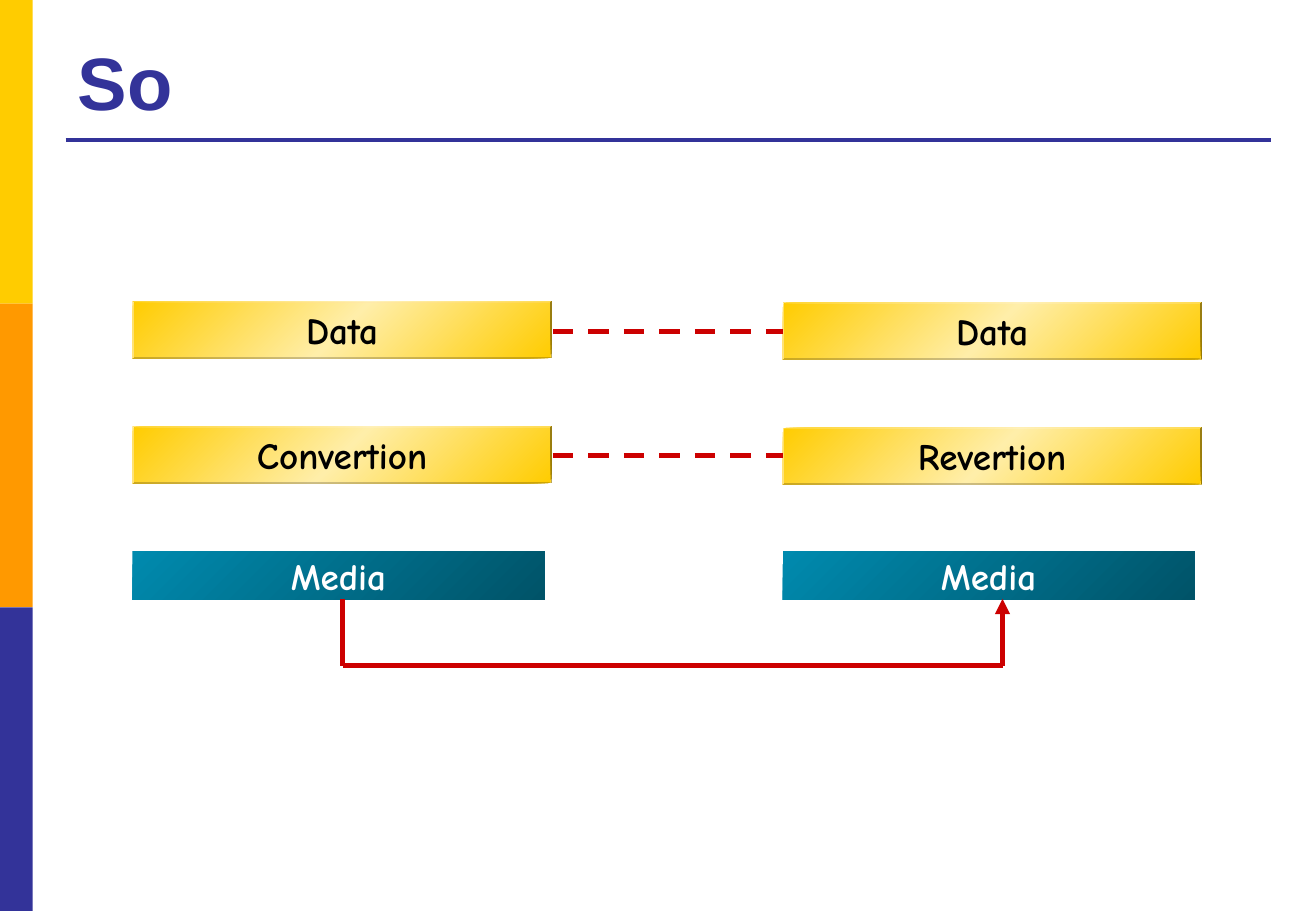
from copy import deepcopy
from pptx import Presentation
from pptx.dml.color import RGBColor as RGB
from pptx.enum.dml import MSO_LINE as Dash
from pptx.enum.shapes import MSO_CONNECTOR as Conn, MSO_SHAPE as Shape
from pptx.enum.text import MSO_ANCHOR as Anchor, PP_ALIGN as Align
from pptx.oxml.ns import qn
from pptx.util import Inches, Pt

BLUE = RGB(0x33, 0x33, 0x99)
GOLD = RGB(0xFF, 0xCC, 0x00)
CREAM = RGB(0xFF, 0xEE, 0xA9)
AMBER = RGB(0xFF, 0x99, 0x00)
TEAL = RGB(0x00, 0x8A, 0xAE)
DEEP = RGB(0x00, 0x53, 0x68)
RED = RGB(0xCC, 0x00, 0x00)
BLACK = RGB(0, 0, 0)
WHITE = RGB(0xFF, 0xFF, 0xFF)

TITLE = "So"
BANDS = [GOLD, AMBER, BLUE]
LEFTS = [1.09, 6.44]
GOLD_BOX = (Shape.BEVEL, 3.45, 0.47, [GOLD, CREAM, GOLD], BLACK, 0.09, 0.05)
TEAL_BOX = (Shape.RECTANGLE, 3.39, 0.4, [TEAL, DEEP], WHITE, 0.02, 0.01)
ROWS = [
    (("Data", "Data"), (2.48, 2.49), GOLD_BOX),
    (("Convertion", "Revertion"), (3.51, 3.52), GOLD_BOX),
    (("Media", "Media"), (4.54, 4.54), TEAL_BOX),
]
LINKS = [2.73, 3.75]
ROUTE = [(2.82, 4.93), (2.82, 5.48), (8.25, 5.48), (8.25, 4.93)]

deck = Presentation()
deck.slide_width, deck.slide_height = Inches(10.83), Inches(7.5)
slide = deck.slides.add_slide(deck.slide_layouts[5])
shapes = slide.shapes


def add_box(kind, left, top, width, height):
    box = shapes.add_shape(kind, *map(Inches, (left, top, width, height)))
    box.shadow.inherit = False
    box.line.fill.background()
    return box


def shade(box, tones):
    box.fill.gradient()
    box.fill.gradient_angle = 315
    stops = box._element.spPr.find(".//" + qn("a:gsLst"))
    while len(stops) < len(tones):
        stops.append(deepcopy(stops[0]))
    for i, (stop, tone) in enumerate(zip(box.fill.gradient_stops, tones)):
        stop.position = i / (len(tones) - 1)
        stop.color.rgb = tone


def style(para, name, size, color):
    font = para.runs[0].font
    font.name, font.size, font.bold = name, Pt(size), True
    font.color.rgb = color


def add_line(start, end, color, width):
    line = shapes.add_connector(Conn.STRAIGHT, *map(Inches, start + end))
    line.line.color.rgb = color
    line.line.width = Pt(width)
    props = line._element.spPr
    props.append(props.makeelement(qn("a:effectLst"), {}))
    return line


def add_label(text, left, top, look):
    kind, width, height, tones, color, side, edge = look
    box = add_box(kind, left, top, width, height)
    if kind == Shape.BEVEL:
        box.adjustments[0] = 0.019
    shade(box, tones)
    frame = box.text_frame
    frame.word_wrap = True
    frame.vertical_anchor = Anchor.MIDDLE
    frame.margin_left = frame.margin_right = Inches(side)
    frame.margin_top = frame.margin_bottom = Inches(edge)
    frame.text = text
    para = frame.paragraphs[0]
    para.alignment = Align.CENTER
    style(para, "Comic Neue", 22, color)


for i, color in enumerate(BANDS):
    band = add_box(Shape.RECTANGLE, 0, 2.5 * i, 0.27, 2.5)
    band.fill.solid()
    band.fill.fore_color.rgb = color
add_line((0.54, 1.15), (10.46, 1.15), BLUE, 2.25)

title = shapes.title
title.left, title.top = Inches(0.54), Inches(0.21)
title.width, title.height = Inches(9.91), Inches(0.87)
title.text_frame.text = TITLE
title.text_frame.vertical_anchor = Anchor.BOTTOM
head = title.text_frame.paragraphs[0]
head.alignment = Align.LEFT
style(head, "Arial", 44, BLUE)

for names, tops, look in ROWS:
    for name, left, top in zip(names, LEFTS, tops):
        add_label(name, left, top, look)

for y in LINKS:
    add_line((4.55, y), (6.44, y), RED, 3).line.dash_style = Dash.DASH
for start, end in zip(ROUTE, ROUTE[1:]):
    leg = add_line(start, end, RED, 3)
stroke = leg.line._get_or_add_ln()
stroke.append(stroke.makeelement(qn("a:tailEnd"), {"type": "triangle"}))

deck.save("out.pptx")
